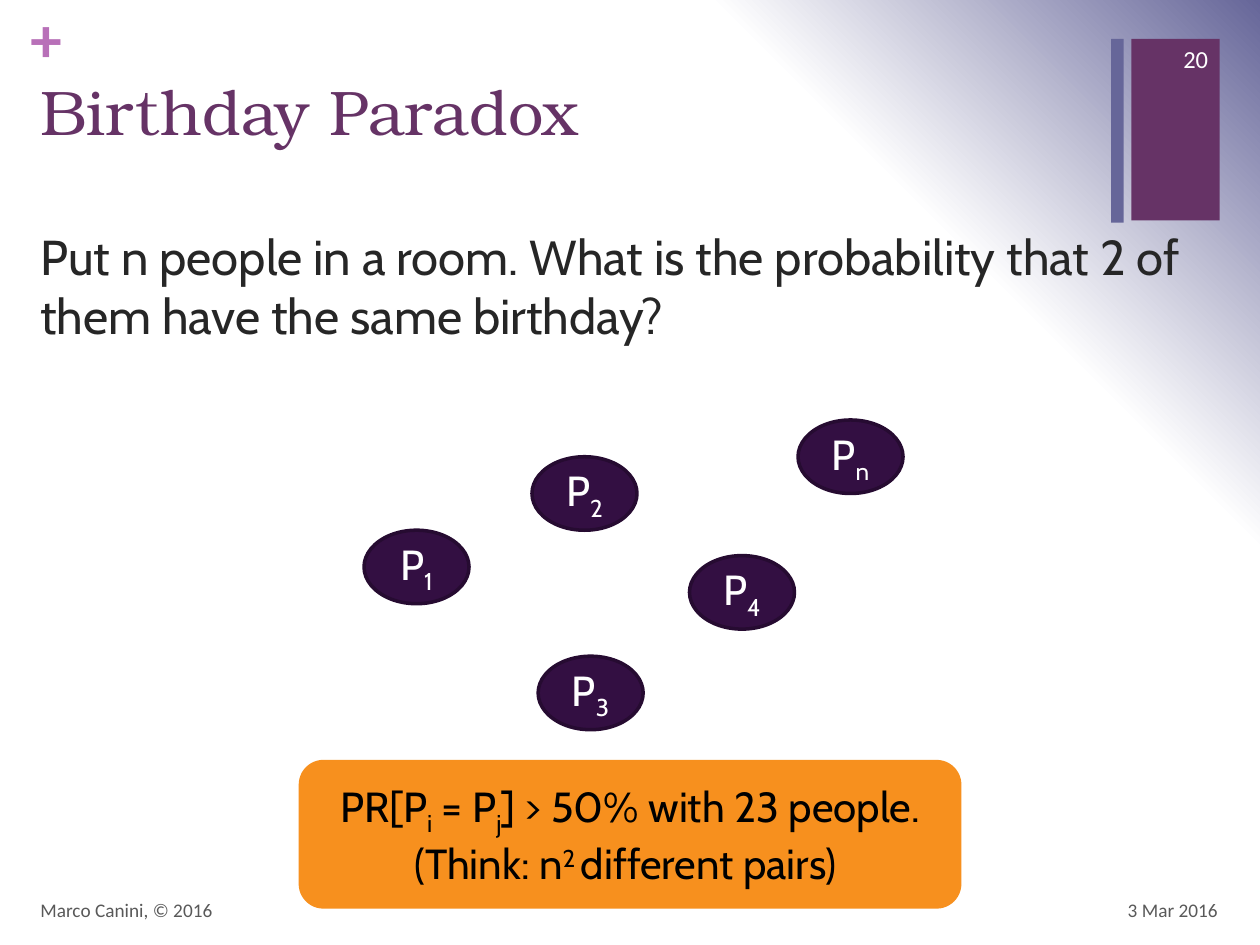
from pptx import Presentation
from pptx.dml.color import RGBColor
from pptx.enum.shapes import MSO_SHAPE as Preset
from pptx.enum.text import MSO_ANCHOR as Anchor, PP_ALIGN as Align
from pptx.oxml import parse_xml
from pptx.oxml.ns import nsdecls, qn
from pptx.util import Pt

PURPLE = RGBColor(0x66, 0x33, 0x66)
SLATE = RGBColor(0x66, 0x66, 0x99)
ORCHID = RGBColor(0xB8, 0x70, 0xB8)
PLUM = RGBColor(0x33, 0x0F, 0x42)
PLUM_EDGE = RGBColor(0x26, 0x0B, 0x31)
ORANGE = RGBColor(0xF7, 0x90, 0x1E)
WHITE = RGBColor(0xFF, 0xFF, 0xFF)
BLACK = RGBColor(0, 0, 0)
INK = RGBColor(0x26, 0x26, 0x26)
GREY = RGBColor(0x59, 0x59, 0x59)

TITLE_FONT, BODY_FONT, SMALL_FONT = "TeX Gyre Bonum", "Cabin", "Calibri"
SUBSCRIPT, SUPERSCRIPT = -25, 30
PERSON_SIZE = (60, 42)
PEOPLE = [("1", 208, 303), ("2", 304, 261), ("3", 307.5, 375),
          ("4", 394, 317.5), ("n", 456, 240)]


def write_text(shape, paragraphs, *, size, font, color, align=Align.LEFT,
               anchor=Anchor.TOP, bold=False, space_before=0, inset=None):
    """Each paragraph is a list of (text, baseline percent) pairs or a string."""
    frame = shape.text_frame
    frame.word_wrap = True
    frame.vertical_anchor = anchor
    if inset is not None:
        frame.margin_left = frame.margin_right = Pt(inset)
        frame.margin_top = frame.margin_bottom = Pt(inset)
    for index, pieces in enumerate(paragraphs):
        paragraph = frame.add_paragraph() if index else frame.paragraphs[0]
        paragraph.alignment = align
        paragraph.space_before = Pt(space_before)
        if isinstance(pieces, str):
            pieces = [(pieces, 0)]
        for text, baseline in pieces:
            run = paragraph.add_run()
            run.text = text
            run.font.size = Pt(size)
            run.font.name = font
            run.font.bold = bold
            run.font.color.rgb = color
            if baseline:
                run.font._element.set("baseline", str(baseline * 1000))


def add_label(slide, box, text, **text_format):
    label = slide.shapes.add_textbox(*map(Pt, box))
    write_text(label, [text], **text_format)


def add_filled_shape(slide, preset, box, fill, edge=None):
    shape = slide.shapes.add_shape(preset, *map(Pt, box))
    shape.shadow.inherit = False
    shape.fill.solid()
    shape.fill.fore_color.rgb = fill
    if edge is None:
        shape.line.fill.background()
    else:
        shape.line.color.rgb = edge
        shape.line.width = Pt(2)
    return shape


def add_person(slide, name, left, top):
    person = add_filled_shape(slide, Preset.OVAL, (left, top, *PERSON_SIZE),
                              PLUM, PLUM_EDGE)
    write_text(person, [[("P", 0), (name, SUBSCRIPT)]], size=24, font=BODY_FONT,
               color=WHITE, align=Align.CENTER, anchor=Anchor.MIDDLE, inset=0)


def set_corner_gradient(slide):
    """Radial gradient centred on the bottom left corner."""
    slide.background.fill.solid()
    properties = slide.element.find(".//" + qn("p:bgPr"))
    stops = "".join(
        f'<a:gs pos="{percent * 1000}"><a:srgbClr val="{color}"/></a:gs>'
        for percent, color in [(0, WHITE), (75, WHITE), (100, SLATE)])
    gradient = parse_xml(
        f'<a:gradFill {nsdecls("a")} rotWithShape="1"><a:gsLst>{stops}</a:gsLst>'
        '<a:path path="circle"><a:fillToRect t="100000" r="100000"/></a:path>'
        '</a:gradFill>')
    properties.replace(properties.find(qn("a:solidFill")), gradient)


def main():
    presentation = Presentation()
    presentation.slide_width, presentation.slide_height = Pt(720), Pt(540)
    slide = presentation.slides.add_slide(presentation.slide_layouts[6])
    set_corner_gradient(slide)

    # Corner decoration
    add_filled_shape(slide, Preset.RECTANGLE, (646.5, 22.3, 50.5, 103.7), PURPLE)
    add_label(slide, (17.3, 0, 21, 44), "+", size=36, font=SMALL_FONT,
              color=ORCHID, bold=True, inset=0)
    add_filled_shape(slide, Preset.RECTANGLE, (635, 22.3, 7.2, 105), SLATE)

    # Title, question and slide number
    add_label(slide, (16, 38, 618.5, 88), "Birthday Paradox",
              size=36, font=TITLE_FONT, color=PURPLE)
    add_label(slide, (16, 126, 674, 379.5),
              "Put n people in a room. What is the probability that 2 of them "
              "have the same birthday?",
              size=28, font=BODY_FONT, color=INK, space_before=20)
    add_label(slide, (653.5, 19, 44, 29), "20", size=14, font=SMALL_FONT,
              color=WHITE, align=Align.RIGHT, anchor=Anchor.MIDDLE)

    # People in the room
    for name, left, top in PEOPLE:
        add_person(slide, name, left, top)

    # Answer
    answer = add_filled_shape(slide, Preset.ROUNDED_RECTANGLE,
                              (170.7, 434.2, 378.7, 85), ORANGE)
    write_text(answer, [
        [("PR[P", 0), ("i", SUBSCRIPT), (" = P", 0), ("j", SUBSCRIPT),
         ("] > 50% with 23 people.", 0)],
        [("(Think: n", 0), ("2 ", SUPERSCRIPT), ("different pairs) ", 0)],
    ], size=24, font=BODY_FONT, color=BLACK, align=Align.CENTER,
        anchor=Anchor.MIDDLE, inset=0)

    # Footer
    footer_format = dict(size=11, font=SMALL_FONT, color=GREY, anchor=Anchor.MIDDLE)
    add_label(slide, (535, 505.5, 168, 29), "3 Mar 2016", align=Align.RIGHT,
              **footer_format)
    add_label(slide, (16, 505.5, 482, 29), "Marco Canini, © 2016", **footer_format)

    presentation.save("out.pptx")


if __name__ == "__main__":
    main()
